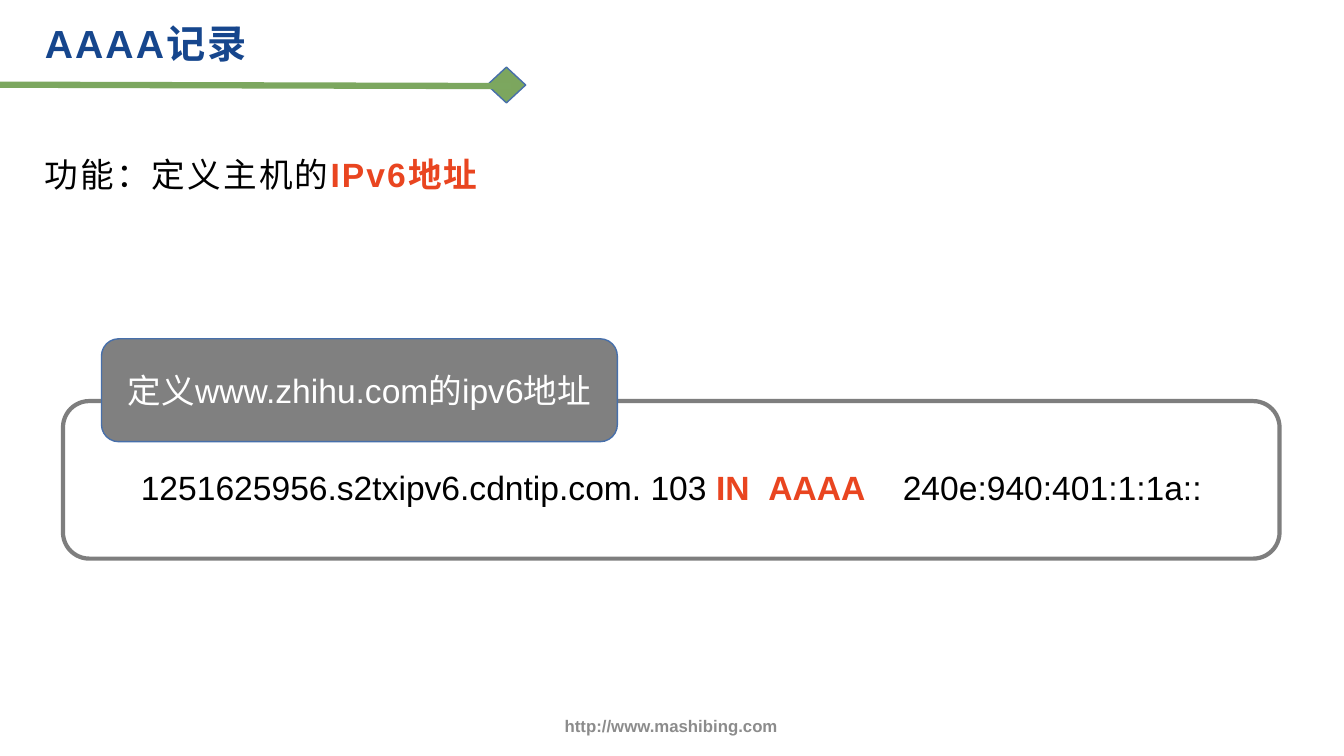
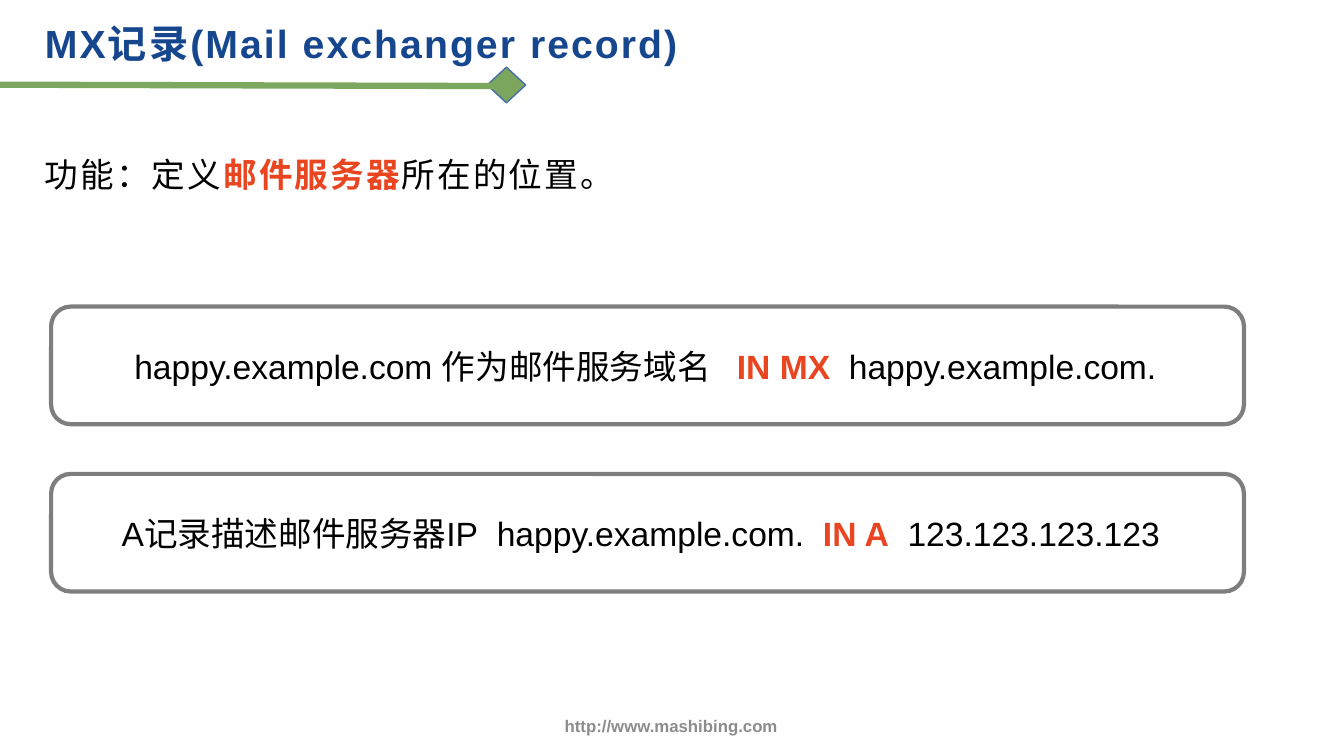
"""Build two slides that explain the AAAA and MX records of DNS."""
import pptx
import pptx.dml.color
import pptx.enum.lang
import pptx.enum.shapes
import pptx.enum.text
import pptx.oxml
import pptx.util

Pt = pptx.util.Pt
ALIGN = pptx.enum.text.PP_ALIGN
ANCHOR = pptx.enum.text.MSO_ANCHOR
SHAPE = pptx.enum.shapes.MSO_SHAPE
CHINESE = pptx.enum.lang.MSO_LANGUAGE_ID.SIMPLIFIED_CHINESE

COLORS = {
    "title": "16468D", "text": "000000", "accent": "E94520", "footer": "8C8C8C",
    "white": "FFFFFF", "green": "7CA65E", "rule": "7CA75F", "edge": "476FAA",
    "frame": "7E7E7E", "label": "808080",
}
STYLES = {
    "title": {"size": Pt(28), "bold": True},
    "text": {"size": Pt(24), "bold": False},
    "accent": {"size": Pt(24), "bold": True},
    "white": {"size": Pt(24), "bold": False},
    "footer": {"size": Pt(12), "bold": True},
}
CENTERED = {"alignment": ALIGN.CENTER}
HEADING = {"line_spacing": 1.3, "space_after": Pt(6)}
SPACE_WIDTH = 6.67
HEADING_TRACKING = 1.5


def color(name):
    """Return the named colour."""
    return pptx.dml.color.RGBColor.from_string(COLORS[name])


def apply(target, values):
    """Set each format value on the target."""
    for name, value in values.items():
        setattr(target, name, value)


def gap(spaces):
    """Return a single space widened to the given number of spaces."""
    return " ", "text", (spaces - 1) * SPACE_WIDTH


def write(shape, spans, layout, anchor=ANCHOR.TOP, tracking=0):
    """Fill a shape with one paragraph of styled spans."""
    apply(shape.text_frame, {"word_wrap": True, "vertical_anchor": anchor})
    para = shape.text_frame.paragraphs[0]
    apply(para, layout)
    for text, style, *extra in spans:
        span = para.add_run()
        span.text = text
        apply(span.font, {"name": "Arial", "language_id": CHINESE, **STYLES[style]})
        span.font.color.rgb = color(style)
        spacing = extra[0] if extra else tracking
        if spacing:
            span.font._element.set("spc", str(round(spacing * 100)))


def add_text(page, place, spans, layout, **options):
    """Add a text box at a place given in points."""
    box = page.shapes.add_textbox(*map(Pt, place))
    write(box, spans, layout, **options)


def add_block(page, kind, place, edge, width, fill=None):
    """Add an outlined shape with an optional fill."""
    block = page.shapes.add_shape(kind, *map(Pt, place))
    block.shadow.inherit = False
    if fill:
        block.fill.solid()
        block.fill.fore_color.rgb = color(fill)
    else:
        block.fill.background()
    block.line.color.rgb = color(edge)
    block.line.width = Pt(width)
    return block


def add_rule(page, start, end):
    """Add the straight rule below the title."""
    rule = page.shapes.add_connector(
        pptx.enum.shapes.MSO_CONNECTOR.STRAIGHT, *map(Pt, start + end))
    rule.line.color.rgb = color("rule")
    rule.line.width = Pt(4.5)
    effects = pptx.oxml.parse_xml(
        '<a:effectLst xmlns:a="http://schemas.openxmlformats.org/drawingml/2006/main"/>')
    rule._element.spPr.append(effects)


def add_page(deck, title, purpose):
    """Add a slide with the shared decoration, title and purpose line."""
    page = deck.slides.add_slide(deck.slide_layouts[6])
    add_block(page, SHAPE.DIAMOND, (348, 48, 27.5, 25.5), "edge", 1, "green")
    add_text(page, (309.5, 497, 340, 43), [("http://www.mashibing.com", "footer")],
             CENTERED, anchor=ANCHOR.MIDDLE)
    add_rule(page, (0, 60.5), (365, 61.5))
    add_text(page, (25, 0, 781, 52), [(title, "title")], HEADING,
             tracking=HEADING_TRACKING)
    add_text(page, (25, 98, 794, 71), purpose, HEADING, tracking=HEADING_TRACKING)
    return page


def add_record(page, frame, text_place, spans):
    """Add a rounded frame with a record line in it."""
    add_block(page, SHAPE.ROUNDED_RECTANGLE, frame, "frame", 3)
    add_text(page, text_place, spans, CENTERED)


def add_aaaa_page(deck):
    """Add the AAAA record slide."""
    page = add_page(deck, "AAAA记录",
                    [("功能：定义主机的", "text"), ("IPv6地址", "accent")])
    add_record(page, (45, 286.5, 869, 112.5), (45, 330, 869, 36), [
        ("1251625956.s2txipv6.cdntip.com. 103", "text"), (" IN", "accent"), gap(2),
        ("AAAA", "accent"), gap(4), ("240e:940:401:1:1a::", "text")])
    label = add_block(page, SHAPE.ROUNDED_RECTANGLE, (72.5, 242, 368.5, 73.5),
                      "edge", 1, "label")
    write(label, [("定义www.zhihu.com的ipv6地址", "white")], CENTERED,
          anchor=ANCHOR.MIDDLE)


def add_mx_page(deck):
    """Add the MX record slide."""
    page = add_page(deck, "MX记录(Mail exchanger record)", [
        ("功能：定义", "text"), ("邮件服务器", "accent"), ("所在的位置。", "text")])
    records = [
        [("happy.example.com 作为邮件服务域名", "text"), gap(3), ("IN MX", "accent"),
         gap(2), ("happy.example.com.", "text")],
        [("A记录描述邮件服务器IP", "text"), gap(2), ("happy.example.com.", "text"),
         gap(2), ("IN A", "accent"), gap(2), ("123.123.123.123 ", "text")],
    ]
    for index, spans in enumerate(records):
        top = 219 + index * 119.5
        add_record(page, (36.5, top, 852, 84), (44.5, top + 24.5, 833, 36), spans)


def main():
    """Build and save the deck."""
    deck = pptx.Presentation()
    apply(deck, {"slide_width": Pt(960), "slide_height": Pt(540)})
    add_aaaa_page(deck)
    add_mx_page(deck)
    deck.save("out.pptx")


if __name__ == "__main__":
    main()
